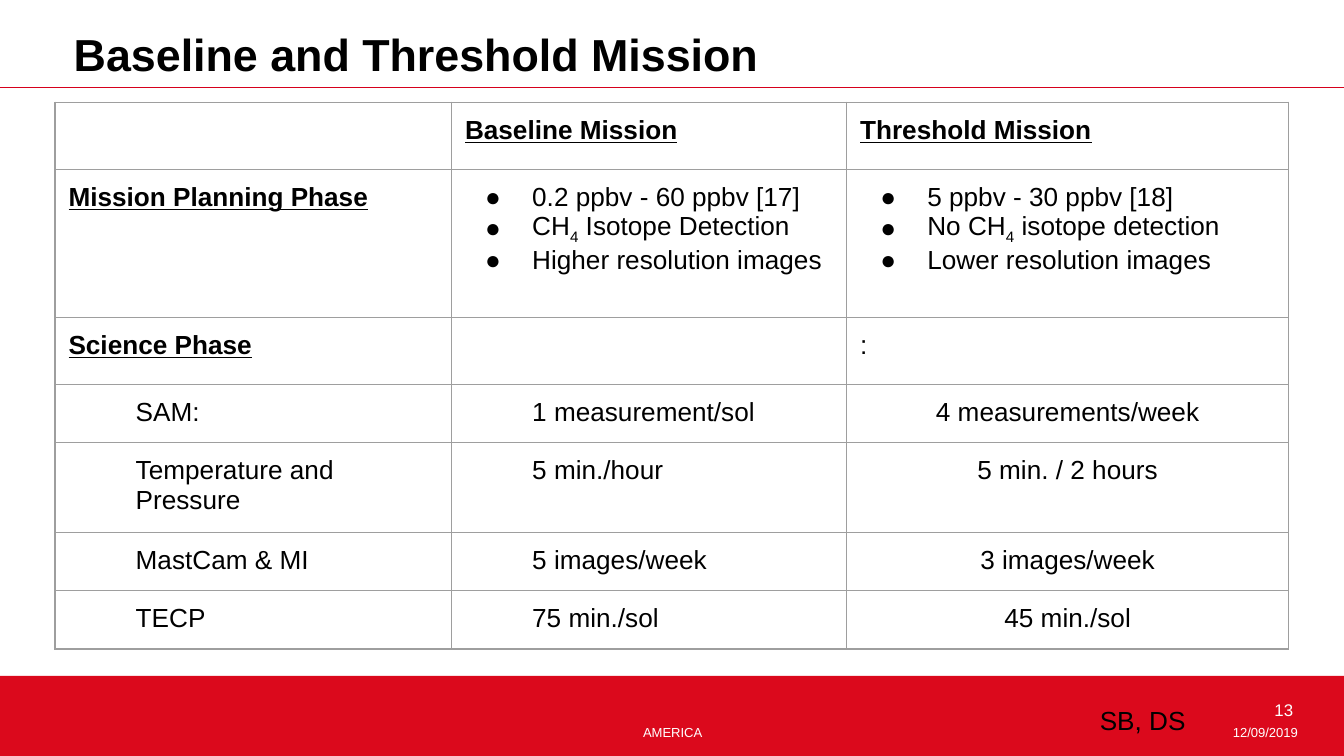
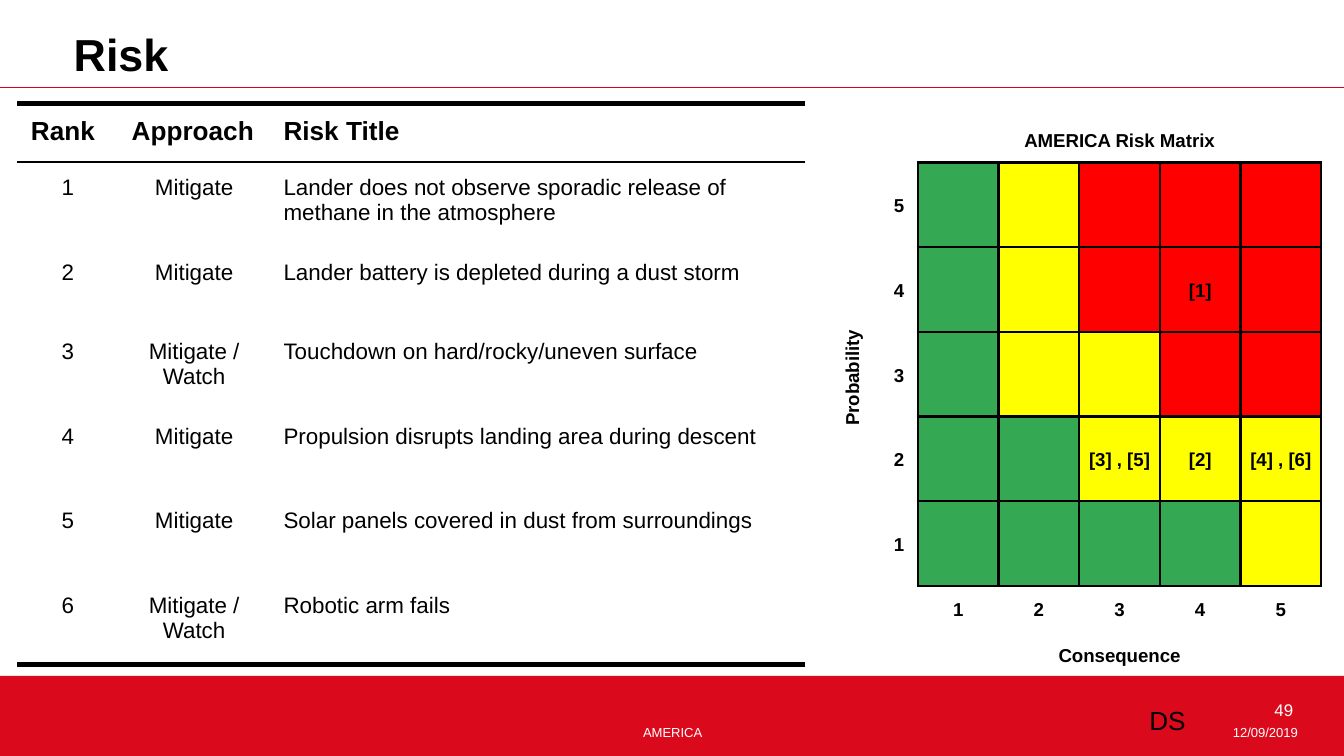
from dataclasses import dataclass

from lxml import etree
from pptx import Presentation
from pptx.dml.color import RGBColor
from pptx.enum.shapes import MSO_CONNECTOR, MSO_SHAPE
from pptx.enum.text import MSO_ANCHOR, PP_ALIGN
from pptx.oxml.ns import qn
from pptx.util import Inches, Pt

LEFT, CENTER, RIGHT = PP_ALIGN.LEFT, PP_ALIGN.CENTER, PP_ALIGN.RIGHT
MIDDLE = MSO_ANCHOR.MIDDLE
RECT, STRAIGHT = MSO_SHAPE.RECTANGLE, MSO_CONNECTOR.STRAIGHT


@dataclass(frozen=True)
class Theme:
    font: str = "Arial"
    black: str = "000000"
    white: str = "FFFFFF"
    band: str = "DB091C"
    rule: str = "D6001C"
    grid: str = "9E9E9E"
    low: str = "34A853"
    medium: str = "FFFF00"
    high: str = "FF0000"
    title: float = 24
    body: float = 14
    risk: float = 12
    matrix: float = 10
    number: float = 9
    footer: float = 7


THEME = Theme()

MISSION_ROWS = [
    ("", "Baseline Mission", "Threshold Mission"),
    ("Mission Planning Phase",
     "0.2 ppbv - 60 ppbv [17]\nCH|4| Isotope Detection\nHigher resolution images",
     "5 ppbv - 30 ppbv [18]\nNo CH|4| isotope detection\nLower resolution images"),
    ("Science Phase", "", ":"),
    ("SAM:", "1 measurement/sol", "4 measurements/week"),
    ("Temperature and Pressure", "5 min./hour", "5 min. / 2 hours"),
    ("MastCam & MI", "5 images/week", "3 images/week"),
    ("TECP", "75 min./sol", "45 min./sol"),
]
MISSION_HEADINGS = {(0, 1), (0, 2), (1, 0), (2, 0)}

RISKS = [
    ("Mitigate", "Lander does not observe sporadic release of methane in the atmosphere"),
    ("Mitigate", "Lander battery is depleted during a dust storm"),
    ("Mitigate / Watch", "Touchdown on hard/rocky/uneven surface"),
    ("Mitigate", "Propulsion disrupts landing area during descent"),
    ("Mitigate", "Solar panels covered in dust from surroundings"),
    ("Mitigate / Watch", "Robotic arm fails"),
]

# Highest probability first; L, M, H are the risk levels by consequence.
RISK_LEVELS = ["LMHHH", "LMHHH", "LMMHH", "LLMMM", "LLLLM"]
LEVEL_COLORS = {"L": THEME.low, "M": THEME.medium, "H": THEME.high}
# Risk numbers keyed by (probability, consequence).
RISK_MARKS = {(4, 4): "[1]", (2, 3): "[3] , [5]", (2, 4): "[2]", (2, 5): "[4] , [6]"}


def rgb(color):
    return RGBColor.from_string(color)


def write(p, text, size, color=THEME.black, bold=False, underline=False, align=LEFT):
    """Fill a paragraph; parts between bars become subscripts."""
    p.alignment = align
    for i, part in enumerate(text.split("|")):
        r = p.add_run()
        r.text = part
        r.font.name, r.font.size = THEME.font, Pt(size)
        r.font.bold, r.font.underline = bold, underline
        r.font.color.rgb = rgb(color)
        if i % 2:
            r._r.get_or_add_rPr().set("baseline", "-25000")


def indent(p, left, bullet=False):
    pPr = p._p.get_or_add_pPr()
    pPr.set("marL", str(Inches(left)))
    pPr.set("indent", str(Inches(-0.35 if bullet else 0)))
    if bullet:
        color = etree.SubElement(pPr, qn("a:buClr"))
        etree.SubElement(color, qn("a:srgbClr"), val=THEME.black)
        etree.SubElement(pPr, qn("a:buSzPts"), val=str(THEME.body * 100))
        etree.SubElement(pPr, qn("a:buFont"), typeface=THEME.font)
        etree.SubElement(pPr, qn("a:buChar"), char="●")


def add_text(s, box, text, size, inset=0.1, rotation=0, **style):
    shape = s.shapes.add_textbox(*map(Inches, box))
    shape.rotation = rotation
    tf = shape.text_frame
    tf.word_wrap = True
    tf.margin_left = tf.margin_right = Inches(0.1)
    tf.margin_top = tf.margin_bottom = Inches(inset)
    write(tf.paragraphs[0], text, size, **style)


def add_plain_table(s, left, top, widths, heights):
    """Add an unstyled table whose rows grow to fit their text."""
    frame = s.shapes.add_table(len(heights), len(widths), Inches(left), Inches(top),
                               Inches(sum(widths)), Inches(sum(heights)))
    table = frame.table
    table.first_row = table.horz_banding = False
    for column, width in zip(table.columns, widths):
        column.width = Inches(width)
    for row, height in zip(table.rows, heights):
        row.height = Inches(height)
    frame.height = Inches(3.28)
    return table


def style_cell(cell, borders, color=THEME.black, fill=None, margins=(0.1, 0.1)):
    """Set borders (side letter to points), fill and (side, top) margins."""
    tcPr = cell._tc.get_or_add_tcPr()
    for side in "LRTB":
        width = borders.get(side, 0)
        line = etree.SubElement(tcPr, qn("a:ln" + side), w=str(Pt(width)))
        if width:
            solid = etree.SubElement(line, qn("a:solidFill"))
            etree.SubElement(solid, qn("a:srgbClr"), val=color)
        else:
            etree.SubElement(line, qn("a:noFill"))
    if fill:
        cell.fill.solid()
        cell.fill.fore_color.rgb = rgb(fill)
    else:
        cell.fill.background()
    cell.margin_left = cell.margin_right = Inches(margins[0])
    cell.margin_top = cell.margin_bottom = Inches(margins[1])


def add_frame(s, title, authors, number):
    """Add the title, rule and footer band shared by all slides."""
    band = s.shapes.add_shape(RECT, 0, Inches(5.03), Inches(10), Inches(0.6))
    band.shadow.inherit = False
    band.fill.solid()
    band.fill.fore_color.rgb = rgb(THEME.band)
    band.line.fill.background()
    rule = s.shapes.add_connector(STRAIGHT, 0, Inches(0.65), Inches(10), Inches(0.65))
    rule.line.color.rgb = rgb(THEME.rule)
    rule.line.width = Pt(0.75)
    etree.SubElement(rule._element.spPr, qn("a:effectLst"))
    for box, text, size, align in [
        ((8.99, 5.34, 0.85, 0.24), "12/09/2019", THEME.footer, CENTER),
        ((3.42, 5.34, 3.17, 0.1), "AMERICA", THEME.footer, CENTER),
        ((7.39, 5.16, 2.33, 0.1), number, THEME.number, RIGHT),
    ]:
        add_text(s, box, text, size, inset=0.05, color=THEME.white, align=align)
    add_text(s, (0.45, 0.1, 7.9, 0.5), title, THEME.title, bold=True)
    add_text(s, (5.54, 5.14, 3.38, 0.36), authors, THEME.body, align=RIGHT)


def add_mission_table(s, left, top):
    table = add_plain_table(s, left, top, [2.95, 2.94, 3.29],
                            [0.42, 1.1] + [0.42] * 5)
    for row, texts in enumerate(MISSION_ROWS):
        for col, text in enumerate(texts):
            cell = table.cell(row, col)
            style_cell(cell, dict.fromkeys("LRTB", 0.75), THEME.grid)
            if not text:
                continue
            heading = (row, col) in MISSION_HEADINGS
            detail = row > 2
            tf = cell.text_frame
            for i, line in enumerate(text.split("\n")):
                p = tf.add_paragraph() if i else tf.paragraphs[0]
                if row == 1 and col:
                    indent(p, 0.5, bullet=True)
                elif detail and col < 2:
                    indent(p, 0.5)
                write(p, line, THEME.body, bold=heading, underline=heading,
                      align=CENTER if detail and col == 2 else LEFT)


def add_risk_table(s, left, top):
    table = add_plain_table(s, left, top, [0.75, 1.13, 3.98],
                            [0.42, 0.63, 0.59] + [0.63] * 4)
    rows = [("Rank", "Approach", "Risk Title")]
    rows += [(str(rank), *risk) for rank, risk in enumerate(RISKS, 1)]
    borders = {0: {"T": 3, "B": 1.5}, 1: {"T": 1.5}, len(RISKS): {"B": 3}}
    for row, texts in enumerate(rows):
        for col, text in enumerate(texts):
            cell = table.cell(row, col)
            style_cell(cell, borders.get(row, {}))
            write(cell.text_frame.paragraphs[0], text,
                  THEME.risk if row else THEME.body, bold=not row,
                  align=CENTER if row and col < 2 else LEFT)


def add_risk_matrix(s, left, top):
    size = len(RISK_LEVELS)
    table = add_plain_table(s, left, top, [0.42, 0.28] + [0.6] * size,
                            [0.27] + [0.63] * size + [0.27] * 2)

    def put(row, col, text="", sides="", fill=None):
        cell = table.cell(row, col)
        style_cell(cell, dict.fromkeys(sides, 1.5), fill=fill, margins=(0.03, 0.02))
        cell.vertical_anchor = MIDDLE
        if text:
            p = cell.text_frame.paragraphs[0]
            p.line_spacing = 1.15
            write(p, text, THEME.matrix, bold=True, align=CENTER)

    for row in range(size + 3):
        put(row, 0)
    for row in (0, size + 1, size + 2):
        put(row, 1)
    for row, levels in enumerate(RISK_LEVELS, 1):
        probability = size + 1 - row
        put(row, 1, str(probability), "R")
        for consequence, level in enumerate(levels, 1):
            put(row, consequence + 1, RISK_MARKS.get((probability, consequence)),
                "LRTB", LEVEL_COLORS[level])
    for i in range(size):
        put(0, i + 2, "" if i else "AMERICA Risk Matrix", "B")
        put(size + 1, i + 2, str(i + 1), "T")
        put(size + 2, i + 2, "" if i else "Consequence")
    for row in (0, size + 2):
        table.cell(row, 2).merge(table.cell(row, size + 1))
    table.cell(1, 0).merge(table.cell(size, 0))
    add_text(s, (left - 0.48, top + 1.79, 1.34, 0.3), "Probability", THEME.matrix,
             rotation=270, bold=True, align=CENTER)


def add_mission_slide(prs):
    s = prs.slides.add_slide(prs.slide_layouts[6])
    add_frame(s, "Baseline and Threshold Mission", "SB, DS", "13")
    add_mission_table(s, 0.41, 0.76)


def add_risk_slide(prs):
    s = prs.slides.add_slide(prs.slide_layouts[6])
    add_frame(s, "Risk", "DS", "49")
    add_risk_matrix(s, 6.13, 0.87)
    add_risk_table(s, 0.13, 0.77)


def main():
    prs = Presentation()
    prs.slide_width = Inches(10)
    prs.slide_height = prs.slide_width * 9 // 16
    add_mission_slide(prs)
    add_risk_slide(prs)
    prs.save("out.pptx")


if __name__ == "__main__":
    main()
